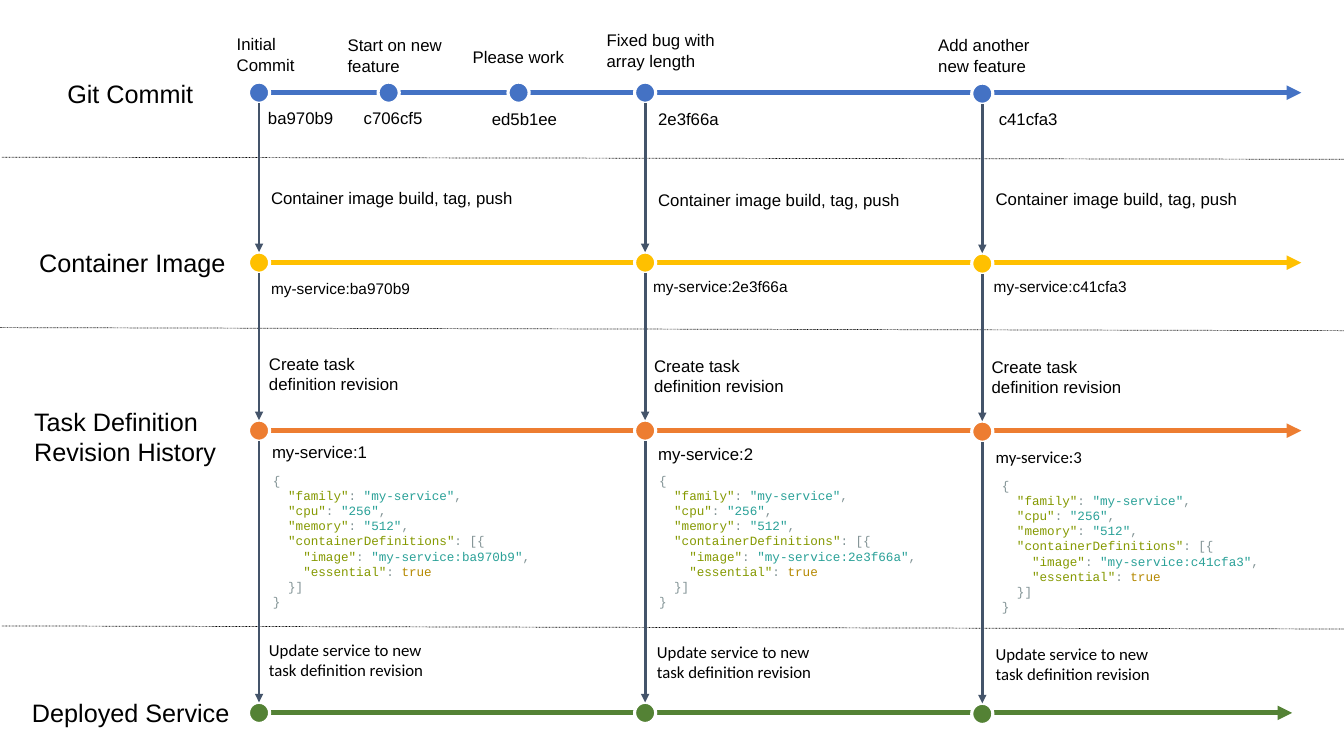
from lxml.etree import SubElement
from pptx import Presentation
from pptx.dml.color import RGBColor
from pptx.enum.dml import MSO_LINE_DASH_STYLE as Dash
from pptx.enum.shapes import MSO_CONNECTOR as Connector, MSO_SHAPE as Shape
from pptx.enum.text import MSO_AUTO_SIZE as AutoSize
from pptx.oxml.ns import qn
from pptx.util import Pt

COLORS = {
    "black": "000000", "white": "FFFFFF", "arrow": "44546A",
    "commit": "4472C4", "image": "FFC000", "task": "ED7D31", "service": "548235",
    "punctuation": "839496", "key": "859900", "string": "2AA198", "literal": "B58900",
}
WIDTH, HEIGHT = 960, 540
DOT = 15.1
AXIS_START = 192.24
HASH_SIZE = (68, 21.6)

LANES = [
    (["Git Commit"], "commit", 66.2, 929.5, (41, 52.6, 107.3, 28.8)),
    (["Container Image"], "image", 187.6, 929.5, (20.9, 172.8, 149.8, 28.8)),
    (["Task Definition", "Revision History"], "task", 307.6, 929.5, (17.3, 286.6, 156.2, 51.1)),
    (["Deployed Service"], "service", 509.2, 923, (15.8, 494.6, 168.5, 28.8)),
]
COLUMNS = [
    {"x": 185.04, "drop": 0, "commit": "ba970b9", "revision_font": "Arial",
     "hash": (-0.7, 73.4), "build": (1.5, 130.3), "tag": (1.5, 195.8), "create": (0, 249.1),
     "revision": (2.2, 311.8), "code": (2.9, 334.1), "update": (0, 453.6)},
    {"x": 460.8, "drop": 0, "commit": "2e3f66a", "revision_font": "Arial",
     "hash": (2.2, 74.2), "build": (2.2, 131.8), "tag": (-1.4, 194.4), "create": (-0.7, 250.6),
     "revision": (2.2, 313.2), "code": (2.9, 334.1), "update": (1.4, 455)},
    {"x": 701.64, "drop": 0.72, "commit": "c41cfa3", "revision_font": "Calibri",
     "hash": (4.7, 74.2), "build": (2.5, 131), "tag": (1.1, 194.4), "create": (-0.4, 251.3),
     "revision": (2.5, 315.4), "code": (6.9, 337.7), "update": (2.5, 456.5)},
]
MESSAGES = [
    ("Initial Commit", 162, 20.9, 85),
    ("Start on new feature", 241.2, 21.6, 85),
    ("Please work", 330.5, 29.5, 85),
    ("Fixed bug with array length", 426.2, 18, 95.8),
    ("Add another new feature", 663.1, 21.6, 103),
]
MINOR_COMMITS = [("c706cf5", 277.6, 252.7, 73.4), ("ed5b1ee", 370.4, 344.2, 73.8)]
SEPARATORS = [(1.4, 112.3, 113.8), (0, 234, 236.2), (1.4, 447.1, 449.3)]


def rgb(name):
    return RGBColor.from_string(COLORS[name])


def add_text(slide, lines, box, size=12, font="Arial", color="black"):
    frame = slide.shapes.add_textbox(*map(Pt, box)).text_frame
    frame.word_wrap = True
    frame.auto_size = AutoSize.SHAPE_TO_FIT_TEXT
    for index, line in enumerate(lines):
        paragraph = frame.add_paragraph() if index else frame.paragraphs[0]
        for words, tint in [(line, color)] if isinstance(line, str) else line:
            run = paragraph.add_run()
            run.text = words
            run.font.size = Pt(size)
            run.font.name = font
            run.font.color.rgb = rgb(tint)


def add_line(slide, start, end, color, weight, dash=None, arrow=True, target=None):
    connector = slide.shapes.add_connector(Connector.STRAIGHT, *map(Pt, start + end))
    if target is not None:
        connector.end_connect(target, 0)
    connector.line.color.rgb = rgb(color)
    connector.line.width = Pt(weight)
    if dash:
        connector.line.dash_style = dash
    if arrow:
        SubElement(connector.line._get_or_add_ln(), qn("a:tailEnd"), type="triangle")
    SubElement(connector._element.spPr, qn("a:effectLst"))


def add_dot(slide, x, y, color):
    dot = slide.shapes.add_shape(
        Shape.OVAL, Pt(x - DOT / 2), Pt(y - DOT / 2), Pt(DOT), Pt(DOT))
    dot.shadow.inherit = False
    dot.fill.solid()
    dot.fill.fore_color.rgb = rgb(color)
    dot.line.color.rgb = rgb("white")
    dot.line.width = Pt(2.25)
    return dot


def add_lane(slide, title, color, y, end, title_box):
    add_text(slide, title, title_box, size=18)
    add_line(slide, (AXIS_START, y), (end, y), color, 3.5)
    return [add_dot(slide, column["x"], y + column["drop"], color) for column in COLUMNS]


def add_commits(slide, y):
    for message, left, top, width in MESSAGES:
        add_text(slide, [message], (left, top, width, 36))
    for commit, x, left, top in MINOR_COMMITS:
        add_dot(slide, x, y, "commit")
        add_text(slide, [commit], (left, top, *HASH_SIZE))


def definition_lines(commit):
    def entry(key, value, indent=2, kind="string", comma=","):
        pair = [(" " * indent + f'"{key}"', "key"), (": ", "punctuation"), (value, kind)]
        return pair + [(comma, "punctuation")] if comma else pair

    return [
        "{",
        entry("family", '"my-service"'),
        entry("cpu", '"256"'),
        entry("memory", '"512"'),
        [('  "containerDefinitions"', "key"), (": [{", "punctuation")],
        entry("image", f'"my-service:{commit}"', indent=4),
        entry("essential", "true", indent=4, kind="literal", comma=""),
        "  }]",
        "}",
    ]


def add_column(slide, column, number, dots):
    x, commit = column["x"], column["commit"]
    for (_, _, y, _, _), target in zip(LANES, dots[1:]):
        start = (x, y + column["drop"] + DOT / 2)
        add_line(slide, start, start, "arrow", 2, target=target)

    def note(part, lines, width, height, **style):
        left, top = column[part]
        add_text(slide, lines, (x + left, top, width, height), **style)

    note("hash", [commit], *HASH_SIZE)
    note("build", ["Container image build, tag, push"], 200, 21.6)
    note("tag", [f"my-service:{commit}"], 128, 20.9, size=11)
    note("create", ["Create task", "definition revision"], 120, 36)
    note("revision", [f"my-service:{number}"], 96, 21.6, font=column["revision_font"])
    note("code", definition_lines(commit), 213.8, 105.1,
         size=9, font="Courier New", color="punctuation")
    note("update", ["Update service to new", "task definition revision"], 203.8, 36,
         font="Calibri")


def main():
    deck = Presentation()
    deck.slide_width, deck.slide_height = Pt(WIDTH), Pt(HEIGHT)
    slide = deck.slides.add_slide(deck.slide_layouts[6])
    for left, start_y, end_y in SEPARATORS:
        add_line(slide, (left, start_y), (WIDTH, end_y), "black", 0.5,
                 dash=Dash.ROUND_DOT, arrow=False)
    lane_dots = [add_lane(slide, *lane) for lane in LANES]
    add_commits(slide, LANES[0][2])
    for number, (column, dots) in enumerate(zip(COLUMNS, zip(*lane_dots)), 1):
        add_column(slide, column, number, dots)
    deck.save("out.pptx")


if __name__ == "__main__":
    main()
